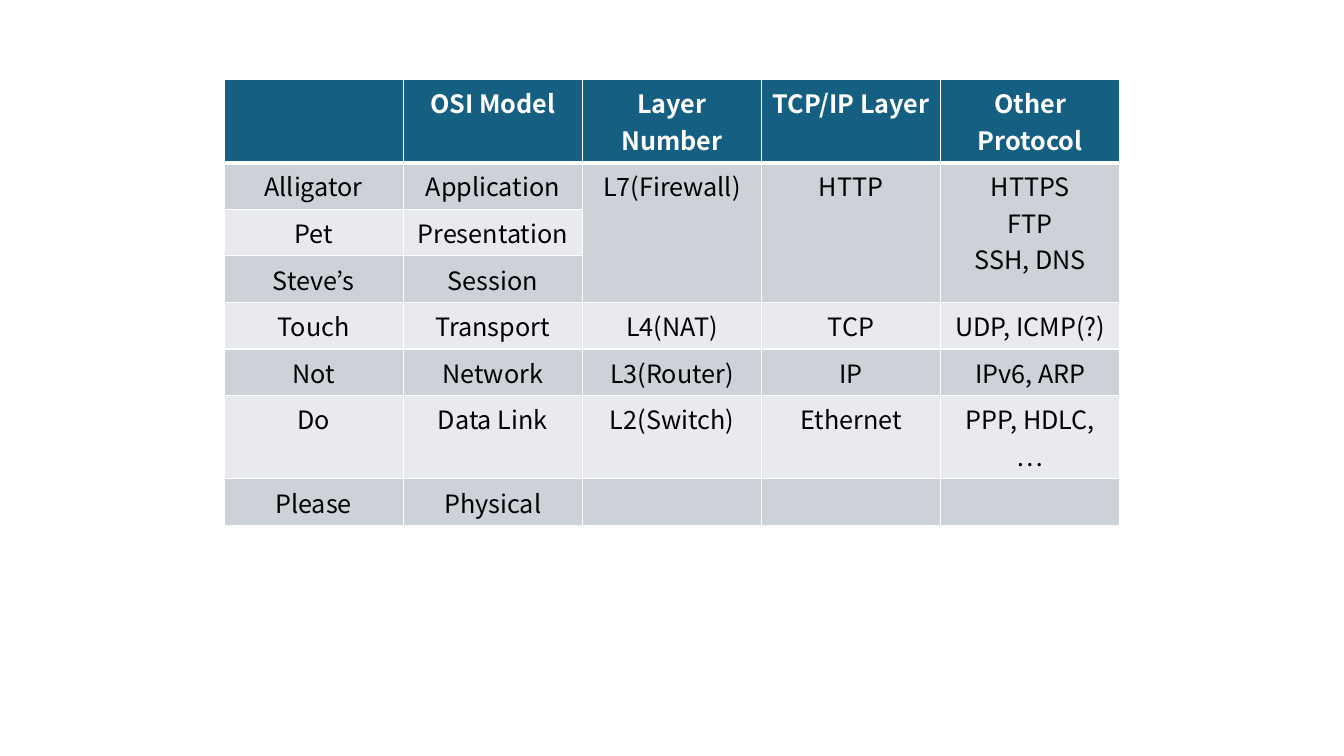
import pptx
import pptx.util
import pptx.dml.color
import pptx.enum.text
import pptx.oxml.ns
import lxml.etree

FONT = "Noto Sans CJK KR"
COLORS = {
    "header": "156082",
    "dark band": "CCD2D8",
    "light band": "E8EAED",
    "border": "FFFFFF",
    "header text": "FFFFFF",
    "body text": "000000",
}
ROWS = [
    ["", "OSI Model", "Layer\nNumber", "TCP/IP Layer", "Other\nProtocol"],
    ["Alligator", "Application", "L7(Firewall)", "HTTP", "HTTPS\nFTP\nSSH, DNS"],
    ["Pet", "Presentation", "", "", ""],
    ["Steve’s", "Session", "", "", ""],
    ["Touch", "Transport", "L4(NAT)", "TCP", "UDP, ICMP(?)"],
    ["Not", "Network", "L3(Router)", "IP", "IPv6, ARP"],
    ["Do", "Data Link", "L2(Switch)", "Ethernet", "PPP, HDLC, …"],
    ["Please", "Physical", "", "", ""],
]
TWO_LINE_ROWS = (0, 6)


def write_text(cell, text, size=18, color="body text", bold=False):
    cell.text_frame.text = text
    for paragraph in cell.text_frame.paragraphs:
        paragraph.alignment = pptx.enum.text.PP_ALIGN.CENTER
        for run in paragraph.runs:
            run.font.name = FONT
            run.font.size = pptx.util.Pt(size)
            run.font.bold = bold
            run.font.color.rgb = pptx.dml.color.RGBColor.from_string(COLORS[color])
            east_asian = lxml.etree.SubElement(
                run._r.get_or_add_rPr(), pptx.oxml.ns.qn("a:ea"))
            east_asian.set("typeface", FONT)


def draw_borders(cell, **widths):
    properties = cell._tc.get_or_add_tcPr()
    # Border lines come before the fill, in the order L, R, T, B
    for position, side in enumerate("LRTB"):
        line = lxml.etree.Element(pptx.oxml.ns.qn("a:ln" + side))
        line.set("w", str(pptx.util.Pt(widths.get(side, 1))))
        fill = lxml.etree.SubElement(line, pptx.oxml.ns.qn("a:solidFill"))
        color = lxml.etree.SubElement(fill, pptx.oxml.ns.qn("a:srgbClr"))
        color.set("val", COLORS["border"])
        properties.insert(position, line)


# Slide
presentation = pptx.Presentation()
presentation.slide_width = pptx.util.Inches(13.33)
presentation.slide_height = pptx.util.Inches(7.5)
slide = presentation.slides.add_slide(presentation.slide_layouts[6])

# Table: centred, two thirds of the slide wide
row_heights = [0.82 if row in TWO_LINE_ROWS else 0.46 for row in range(len(ROWS))]
table_width = presentation.slide_width * 2 // 3
table = slide.shapes.add_table(
    len(ROWS), len(ROWS[0]),
    (presentation.slide_width - table_width) // 2, pptx.util.Inches(0.79),
    table_width, pptx.util.Inches(sum(row_heights)),
).table
for row, height in zip(table.rows, row_heights):
    row.height = pptx.util.Inches(height)

# Cells: header row, then alternating bands
for row, texts in enumerate(ROWS):
    is_header = row == 0
    band = "header" if is_header else "dark band" if row % 2 else "light band"
    for column, text in enumerate(texts):
        cell = table.cell(row, column)
        write_text(cell, text, bold=is_header,
                   color="header text" if is_header else "body text")
        cell.fill.solid()
        cell.fill.fore_color.rgb = pptx.dml.color.RGBColor.from_string(COLORS[band])
        draw_borders(cell, T=3 if row == 1 else 1, B=3 if is_header else 1)

# The upper three layers share one cell in each of the last three columns
for column in range(2, 5):
    table.cell(1, column).merge(table.cell(3, column))

presentation.save("out.pptx")
